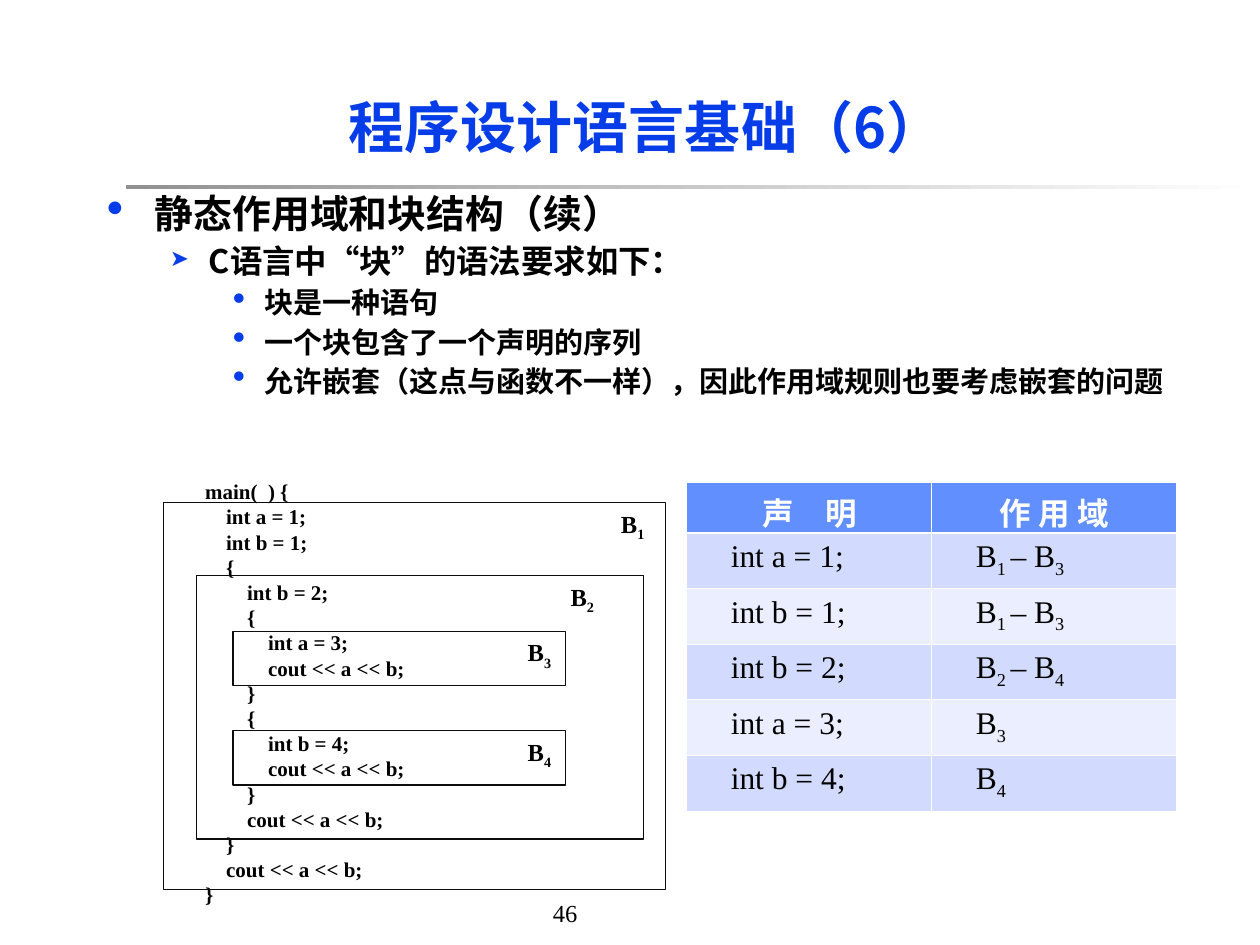
from dataclasses import dataclass

from lxml import etree
from pptx import Presentation
from pptx.dml.color import RGBColor
from pptx.enum.shapes import MSO_SHAPE
from pptx.enum.text import MSO_ANCHOR, PP_ALIGN
from pptx.oxml.ns import qn
from pptx.util import Inches, Pt

RECTANGLE = MSO_SHAPE.RECTANGLE
TOP, MIDDLE = MSO_ANCHOR.TOP, MSO_ANCHOR.MIDDLE
LEFT, CENTER = PP_ALIGN.LEFT, PP_ALIGN.CENTER
SANS, SERIF = "Noto Sans CJK SC", "Times New Roman"
BLUE, BLACK, WHITE = "063DE8", "000000", "FFFFFF"
HEADER_FILL, BAND_FILLS = "618FFD", ("D2DBFE", "EAEEFF")


@dataclass(frozen=True)
class Level:
    size: float
    margin: float
    hanging: float
    before: float
    mark: str
    mark_percent: int


@dataclass(frozen=True)
class Block:
    label: str
    left: float
    top: float
    width: float
    height: float
    label_indent: float


LEVELS = (
    Level(22.2, 0.38, 0.38, 6, "•", 125),
    Level(18.5, 0.81, 0.31, 5, "➤", 70),
    Level(16.6, 1.25, 0.25, 4.5, "•", 125),
)
OUTLINE = (
    (0, "静态作用域和块结构（续）"),
    (1, "C语言中“块”的语法要求如下："),
    (2, "块是一种语句"),
    (2, "一个块包含了一个声明的序列"),
    (2, "允许嵌套（这点与函数不一样），因此作用域规则也要考虑嵌套的问题"),
)
CODE = (
    (0, "main(  ) {"), (1, "int a = 1;"), (1, "int b = 1;"), (1, "{"),
    (2, "int b = 2;"), (2, "{"), (3, "int a = 3;"), (3, "cout << a << b;"),
    (2, "}"), (2, "{"), (3, "int b = 4;"), (3, "cout << a << b;"),
    (2, "}"), (2, "cout << a << b;"), (1, "}"), (1, "cout << a << b;"), (0, "}"),
)
BLOCKS = (
    Block("B|1", 1.3, 3.99, 3.98, 3.07, 3.53),
    Block("B|2", 1.56, 4.57, 3.55, 2.09, 2.87),
    Block("B|3", 1.85, 5.01, 2.64, 0.43, 2.24),
    Block("B|4", 1.85, 5.8, 2.64, 0.43, 2.24),
)
SCOPES = (
    ("声　明", "作 用 域"),
    ("int a = 1;", "B|1 |– B|3"),
    ("int b = 1;", "B|1 |– B|3"),
    ("int b = 2;", "B|2 |– B|4"),
    ("int a = 3;", "B|3"),
    ("int b = 4;", "B|4"),
)


def rgb(value: str) -> RGBColor:
    return RGBColor.from_string(value)


def write(para, text: str, *, size: float, font: str = SERIF, color: str = BLACK,
          bold: bool = False, align=LEFT, margin: float = 0, hanging: float = 0) -> None:
    para.alignment = align
    properties = para._p.get_or_add_pPr()
    properties.set("marL", str(Inches(margin)))
    properties.set("indent", str(-Inches(hanging)))
    for index, part in enumerate(text.split("|")):
        if not part:
            continue
        span = para.add_run()
        span.text = part
        span.font.size = Pt(size)
        span.font.name = font
        span.font.bold = bold
        span.font.color.rgb = rgb(color)
        run_properties = span._r.get_or_add_rPr()
        etree.SubElement(run_properties, qn("a:ea")).set("typeface", SANS)
        if index % 2:
            run_properties.set("baseline", "-25000")


def add_bullet(para, level: Level) -> None:
    properties = para._p.get_or_add_pPr()
    color = etree.SubElement(properties, qn("a:buClr"))
    etree.SubElement(color, qn("a:srgbClr")).set("val", BLUE)
    etree.SubElement(properties, qn("a:buSzPct")).set("val", str(level.mark_percent * 1000))
    etree.SubElement(properties, qn("a:buChar")).set("char", level.mark)


def add_box(page, left: float, top: float, width: float, height: float,
            wrap: bool = True, anchor=TOP):
    box = page.shapes.add_textbox(Inches(left), Inches(top), Inches(width), Inches(height))
    box.text_frame.word_wrap = wrap
    box.text_frame.vertical_anchor = anchor
    return box.text_frame


def add_rectangle(page, left: float, top: float, width: float, height: float):
    shape = page.shapes.add_shape(RECTANGLE, Inches(left), Inches(top),
                                  Inches(width), Inches(height))
    shape.shadow.inherit = False
    return shape


def next_para(frame, index: int):
    return frame.add_paragraph() if index else frame.paragraphs[0]


def add_rule(page) -> None:
    rule = add_rectangle(page, 1, 1.47, 9, 0.03)
    rule.line.fill.background()
    rule.fill.gradient()
    rule.fill.gradient_angle = 0
    for stop, color, position in zip(rule.fill.gradient_stops, ("919191", WHITE), (0, 1)):
        stop.color.rgb = rgb(color)
        stop.position = position


def add_outline(page) -> None:
    frame = add_box(page, 0.75, 1.5, 8.58, 2.25)
    for index, (depth, text) in enumerate(OUTLINE):
        level = LEVELS[depth]
        para = next_para(frame, index)
        para.level = depth
        para.line_spacing = 0.9
        para.space_before = Pt(level.before)
        write(para, text, size=level.size, font=SANS, bold=True,
              margin=level.margin, hanging=level.hanging)
        add_bullet(para, level)


def set_borders(cell, widths: dict[str, float]) -> None:
    properties = cell._tc.get_or_add_tcPr()
    for index, (side, width) in enumerate(widths.items()):
        line = etree.Element(qn(f"a:{side}"), w=str(Pt(width)))
        fill = etree.SubElement(line, qn("a:solidFill"))
        etree.SubElement(fill, qn("a:srgbClr")).set("val", WHITE)
        properties.insert(index, line)


def add_scope_table(page) -> None:
    table = page.shapes.add_table(len(SCOPES), 2, Inches(5.45), Inches(3.83),
                                  Inches(3.89), Inches(2.6)).table
    for row_index, row in enumerate(SCOPES):
        header = row_index == 0
        table.rows[row_index].height = Inches(0.4 if header else 0.44)
        for column, text in enumerate(row):
            cell = table.cell(row_index, column)
            cell.fill.solid()
            cell.fill.fore_color.rgb = rgb(HEADER_FILL if header else BAND_FILLS[(row_index - 1) % 2])
            set_borders(cell, {"lnL": 0.45, "lnR": 0.45,
                               "lnT": 1.47 if row_index == 1 else 0.45,
                               "lnB": 1.47 if header else 0.45})
            write(cell.text_frame.paragraphs[0], text, size=18, bold=header,
                  color=WHITE if header else BLACK, align=CENTER if header else LEFT,
                  margin=0 if header else 0.25)


def add_code(page) -> None:
    frame = add_box(page, 1.53, 3.75, 3.62, 3.5)
    for index, (depth, text) in enumerate(CODE):
        write(next_para(frame, index), text, size=12, bold=True, margin=depth / 6)


def add_block(page, block: Block) -> None:
    shape = add_rectangle(page, block.left, block.top, block.width, block.height)
    shape.fill.background()
    shape.line.color.rgb = rgb("0D0D0D")
    shape.line.width = Pt(0.74)
    shape.text_frame.vertical_anchor = TOP
    write(shape.text_frame.paragraphs[0], block.label, size=14, bold=True,
          margin=block.label_indent)


deck = Presentation()
deck.slide_width, deck.slide_height = Inches(10), Inches(7.5)
page = deck.slides.add_slide(deck.slide_layouts[6])
write(add_box(page, 4.29, 7.08, 1.02, 0.33, wrap=False).paragraphs[0], "46", size=14)
add_rule(page)
write(add_box(page, 1, 0.5, 8.25, 1, anchor=MIDDLE).paragraphs[0], "程序设计语言基础（6）",
      size=32, font=SANS, color=BLUE, bold=True, align=CENTER)
add_outline(page)
add_scope_table(page)
add_code(page)
for block in BLOCKS:
    add_block(page, block)
deck.save("out.pptx")
